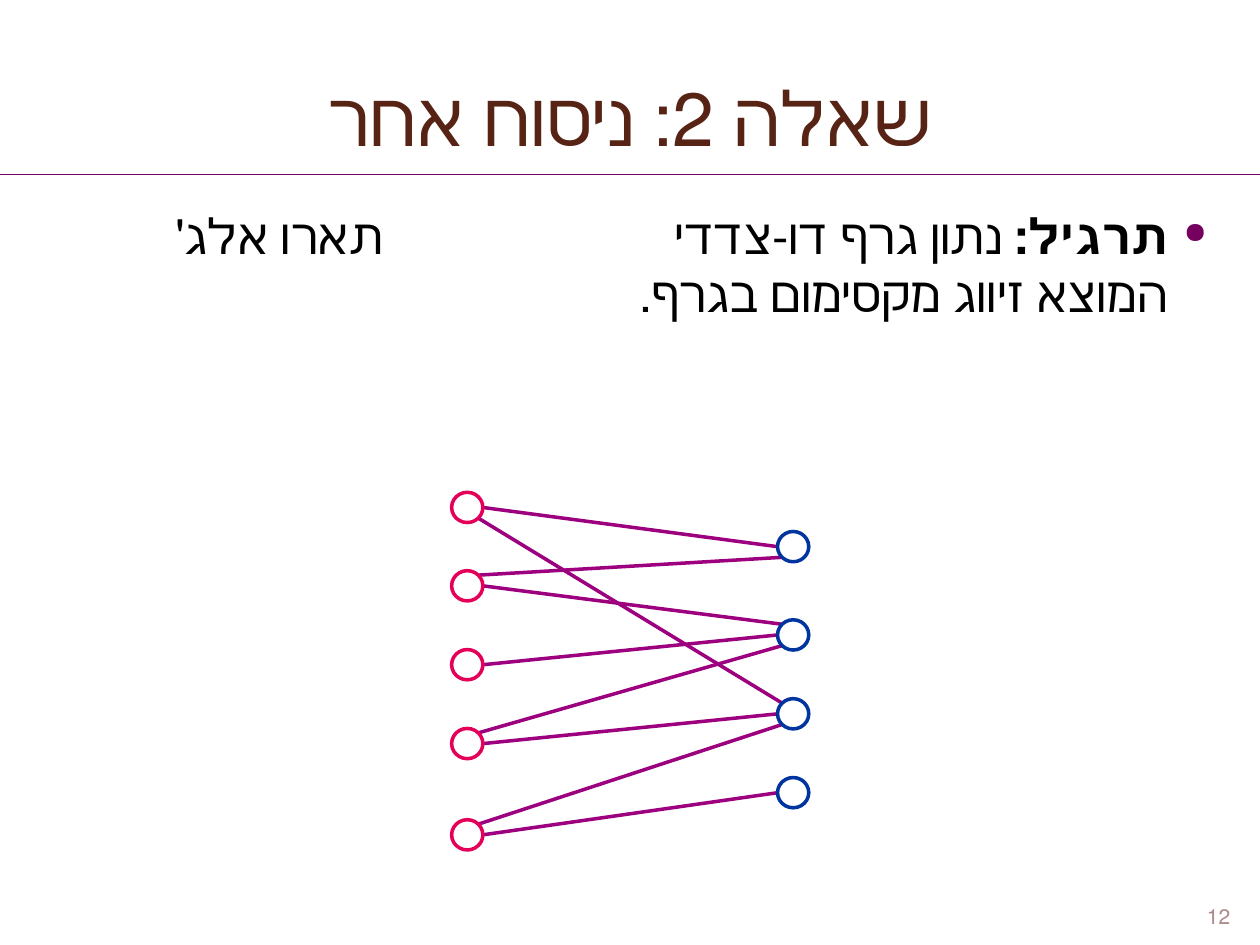
import math

import pptx
import pptx.dml.color
import pptx.enum.shapes
import pptx.enum.text
import pptx.util
from lxml import etree
from pptx.util import Cm, Pt

TITLE = "שאלה 2: ניסוח אחר"
# Text, bold, extra letter spacing in points
EXERCISE = [
    ("תרגיל:", True, 0),
    (" נתון גרף דו-צדדי", False, 0),
    (" ", False, 160),
    ("תארו אלג' המוצא זיווג מקסימום בגרף.", False, 0),
]
SLIDE_NUMBER = "12"

# Bipartite graph, lengths in cm: centre x, outline colour, centre y of each node
LEFT_SIDE = (9.42, "E40059", [10.23, 11.81, 13.4, 14.99, 16.83])
RIGHT_SIDE = (15.99, "00349E", [11.02, 12.8, 14.39, 15.98])
NODE_WIDTH, NODE_HEIGHT = 0.63, 0.61
# Left node, right node, and where the edge meets each of them
UPPER, MIDDLE, LOWER = -45, 0, 45
EDGES = [
    (0, 0, MIDDLE, MIDDLE), (0, 2, LOWER, UPPER), (1, 0, UPPER, LOWER),
    (2, 1, MIDDLE, MIDDLE), (3, 1, UPPER, LOWER), (4, 2, UPPER, LOWER),
    (4, 3, MIDDLE, MIDDLE), (3, 2, MIDDLE, MIDDLE), (1, 1, MIDDLE, UPPER),
]

ALIGN = pptx.enum.text.PP_ALIGN
ANCHOR = pptx.enum.text.MSO_ANCHOR


def rgb(value):
    return pptx.dml.color.RGBColor.from_string(value)


def write_text(box, runs, size, color, align=ALIGN.CENTER, anchor=ANCHOR.TOP):
    """Fill a box with one right-to-left paragraph and return the paragraph."""
    frame = box.text_frame
    frame.word_wrap = True
    frame.auto_size = pptx.enum.text.MSO_AUTO_SIZE.NONE
    frame.vertical_anchor = anchor
    para = frame.paragraphs[0]
    para.alignment = align
    para._p.get_or_add_pPr().set("rtl", "1")
    for text, bold, spacing in runs:
        span = para.add_run()
        span.text = text
        span.font.name = "Calibri"
        span.font.size = Pt(size)
        span.font.bold = bold
        span.font.color.rgb = rgb(color)
        if spacing:
            span._r.get_or_add_rPr().set("spc", str(spacing * 100))
    return para


def add_bullet(para, color, percent):
    """Add a hanging round bullet."""
    props = para._p.get_or_add_pPr()
    props.set("marL", str(int(Cm(1.02))))
    props.set("indent", str(int(Cm(-0.79))))

    def add(parent, tag, **attributes):
        return etree.SubElement(parent, pptx.oxml.ns.qn(tag), attributes)

    add(add(props, "a:buClr"), "a:srgbClr", val=color)
    add(props, "a:buSzPct", val=str(percent * 1000))
    add(props, "a:buChar", char="●")


def add_line(slide, start, end, color, width):
    line = slide.shapes.add_connector(
        pptx.enum.shapes.MSO_CONNECTOR.STRAIGHT, *map(Cm, start + end))
    line.line.color.rgb = rgb(color)
    line.line.width = Pt(width)
    etree.SubElement(line._element.spPr, pptx.oxml.ns.qn("a:effectLst"))


def edge_point(side, index, angle, direction):
    """Point on a node's outline; direction is 1 to the right, -1 to the left."""
    x, _, rows = side
    turn = math.radians(angle)
    return (x + direction * NODE_WIDTH / 2 * math.cos(turn),
            rows[index] + NODE_HEIGHT / 2 * math.sin(turn))


def add_nodes(slide, side):
    x, color, rows = side
    for y in rows:
        node = slide.shapes.add_shape(
            pptx.enum.shapes.MSO_SHAPE.OVAL,
            Cm(x - NODE_WIDTH / 2), Cm(y - NODE_HEIGHT / 2),
            Cm(NODE_WIDTH), Cm(NODE_HEIGHT))
        node.shadow.inherit = False
        node.fill.solid()
        node.fill.fore_color.rgb = rgb("FFFFFF")
        node.line.color.rgb = rgb(color)
        node.line.width = Pt(2)


def main():
    deck = pptx.Presentation()
    deck.slide_width, deck.slide_height = Cm(25.4), Cm(19.05)
    slide = deck.slides.add_slide(deck.slide_layouts[5])

    title = slide.shapes.title
    title.left, title.top, title.width, title.height = map(Cm, (0, 0.76, 25.4, 3.18))
    write_text(title, [(TITLE, False, 0)], 43, "572314", anchor=ANCHOR.MIDDLE)
    add_line(slide, (0, 3.52), (25.4, 3.52), "75005F", 0.75)

    body = slide.shapes.add_textbox(*map(Cm, (1.09, 4.01, 23.72, 2.72)))
    para = write_text(body, EXERCISE, 28, "000000", align=ALIGN.RIGHT)
    add_bullet(para, "75005F", percent=60)

    for left, right, left_angle, right_angle in EDGES:
        add_line(slide, edge_point(LEFT_SIDE, left, left_angle, 1),
                 edge_point(RIGHT_SIDE, right, right_angle, -1), "9C007F", 2)
    for side in (LEFT_SIDE, RIGHT_SIDE):
        add_nodes(slide, side)

    number = slide.shapes.add_textbox(*map(Cm, (23.93, 17.53, 1.27, 1.32)))
    write_text(number, [(SLIDE_NUMBER, False, 0)], 12, "AF8888", anchor=ANCHOR.BOTTOM)
    deck.save("out.pptx")


if __name__ == "__main__":
    main()
